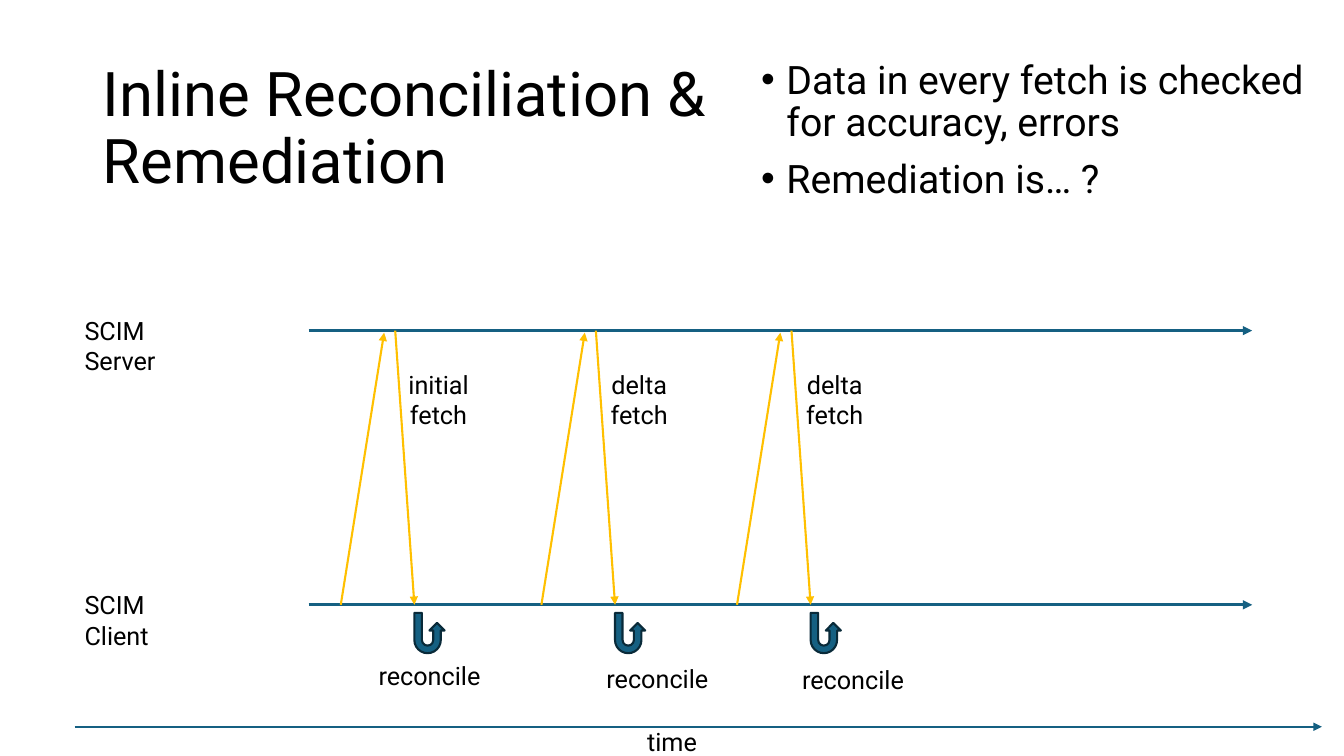
from lxml import etree
from pptx import Presentation
from pptx.dml.color import RGBColor
from pptx.enum.shapes import MSO_CONNECTOR, MSO_SHAPE
from pptx.enum.text import MSO_ANCHOR, MSO_AUTO_SIZE, PP_ALIGN
from pptx.oxml.ns import qn
from pptx.util import Inches, Pt

STRAIGHT = MSO_CONNECTOR.STRAIGHT
U_TURN = MSO_SHAPE.U_TURN_ARROW
LEFT, CENTER = PP_ALIGN.LEFT, PP_ALIGN.CENTER
FONT = "Roboto"
COLORS = {"text": "000000", "axis": "156082", "outline": "092A39", "fetch": "FFC000"}

presentation = Presentation()
presentation.slide_width = Inches(13.33)
presentation.slide_height = Inches(7.5)
slide = presentation.slides.add_slide(presentation.slide_layouts[1])


def write_text(shape, box, text, size=18, align=LEFT):
    shape.left, shape.top, shape.width, shape.height = map(Inches, box)
    frame = shape.text_frame
    frame.text = text
    frame.auto_size = MSO_AUTO_SIZE.NONE
    for paragraph in frame.paragraphs:
        paragraph.alignment = align
        for run in paragraph.runs:
            run.font.name = FONT
            run.font.size = Pt(size)
            run.font.color.rgb = RGBColor.from_string(COLORS["text"])
    return frame


def add_arrow(start, end, color, width):
    arrow = slide.shapes.add_connector(STRAIGHT, *map(Inches, start + end))
    arrow.line.color.rgb = RGBColor.from_string(COLORS[color])
    arrow.line.width = Pt(width)
    etree.SubElement(arrow.line._get_or_add_ln(), qn("a:tailEnd"), type="triangle")
    etree.SubElement(arrow._element.spPr, qn("a:effectLst"))


# Title and bullet list
title = write_text(slide.shapes.title, (0.92, 0.4, 7.15, 1.78),
                   "Inline Reconciliation & Remediation", 44)
title.vertical_anchor = MSO_ANCHOR.MIDDLE
title.paragraphs[0].line_spacing = 0.9

bullets = write_text(slide.placeholders[1], (7.45, 0.55, 5.67, 1.58),
                     "Data in every fetch is checked for accuracy, errors\nRemediation is… ?", 28)
for paragraph in bullets.paragraphs:
    paragraph.line_spacing = 0.9
    paragraph.space_before = Pt(10)
    properties = paragraph._p.get_or_add_pPr()
    properties.set("marL", str(Inches(0.25)))
    properties.set("indent", str(Inches(-0.25)))
    etree.SubElement(properties, qn("a:buFont"), typeface="Arial")
    etree.SubElement(properties, qn("a:buChar"), char="•")

# Server and client lifelines, labels wrapped in a narrow column
SERVER_Y, CLIENT_Y, TIME_Y = 3.28, 6, 7.21
for name, y in (("SCIM Server", SERVER_Y), ("SCIM Client", CLIENT_Y)):
    add_arrow((3.06, y), (12.42, y), "axis", 2.25)
    label = write_text(slide.shapes.add_textbox(0, 0, 0, 0), (0.74, y - 0.2, 1.53, 0.4), name)
    label.word_wrap = True
    label.margin_right = Inches(0.5)

# Time axis
add_arrow((0.74, TIME_Y), (13.11, TIME_Y), "axis", 1.5)
write_text(slide.shapes.add_textbox(0, 0, 0, 0), (6.32, 7.16, 0.69, 0.4), "time")

# Fetch cycles: request, response, reconcile
cycles = [(3.38, "initial", 3.65, 6.5), (5.37, "delta", 5.91, 6.53), (7.31, "delta", 7.85, 6.54)]
for x, kind, reconcile_x, reconcile_y in cycles:
    add_arrow((x, CLIENT_Y), (x + 0.43, SERVER_Y + 0.02), "fetch", 1.5)
    add_arrow((x + 0.54, SERVER_Y), (x + 0.73, CLIENT_Y), "fetch", 1.5)
    write_text(slide.shapes.add_textbox(0, 0, 0, 0), (x + 0.57, 3.61, 0.8, 0.71),
               f"{kind}\nfetch", align=CENTER)

    loop = slide.shapes.add_shape(U_TURN, Inches(x + 0.73), Inches(CLIENT_Y + 0.08),
                                  Inches(0.3), Inches(0.4))
    loop.rotation = 180
    loop._element.spPr.xfrm.set("flipH", "1")
    loop.shadow.inherit = False
    loop.fill.solid()
    loop.fill.fore_color.rgb = RGBColor.from_string(COLORS["axis"])
    loop.line.color.rgb = RGBColor.from_string(COLORS["outline"])
    loop.line.width = Pt(1.5)

    write_text(slide.shapes.add_textbox(0, 0, 0, 0), (reconcile_x, reconcile_y, 1.22, 0.4),
               "reconcile", align=CENTER)

presentation.save("out.pptx")
